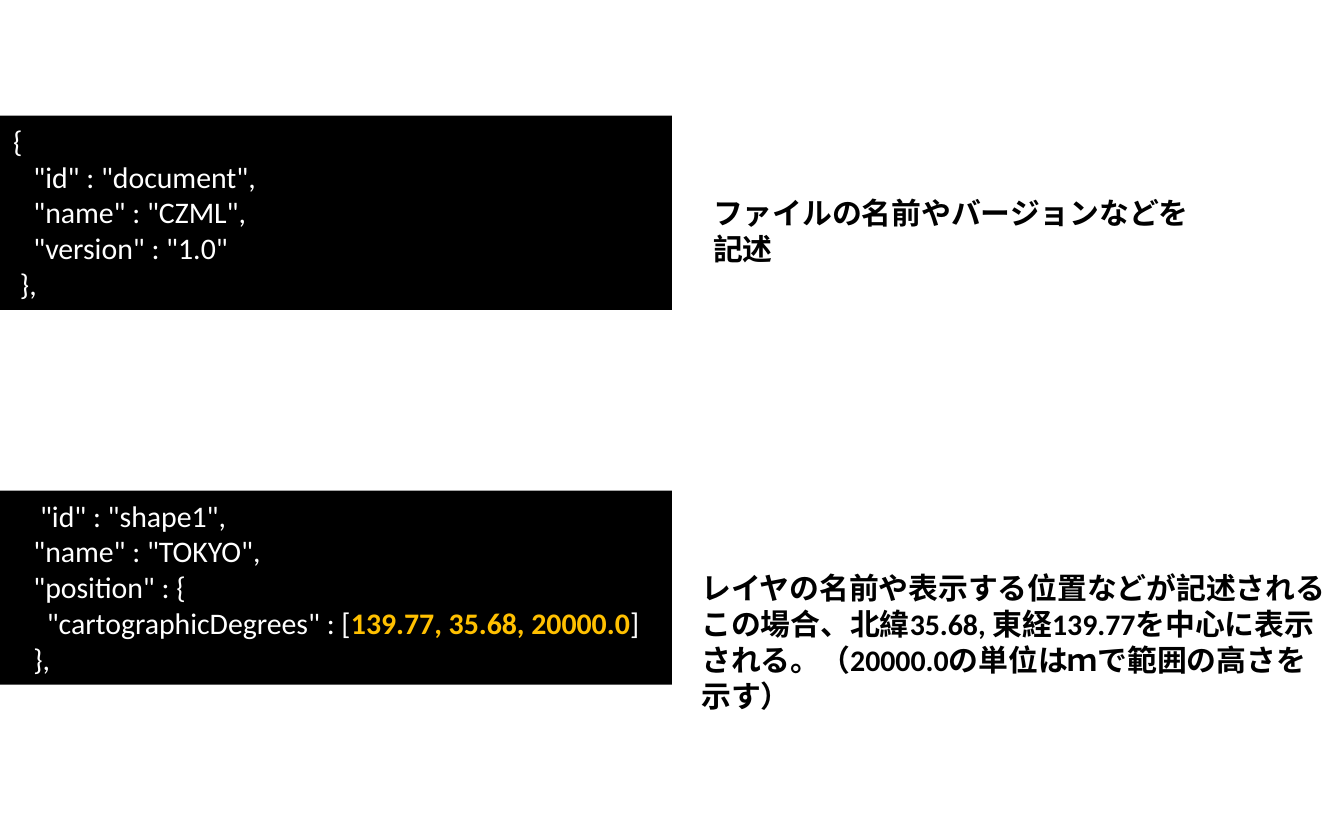
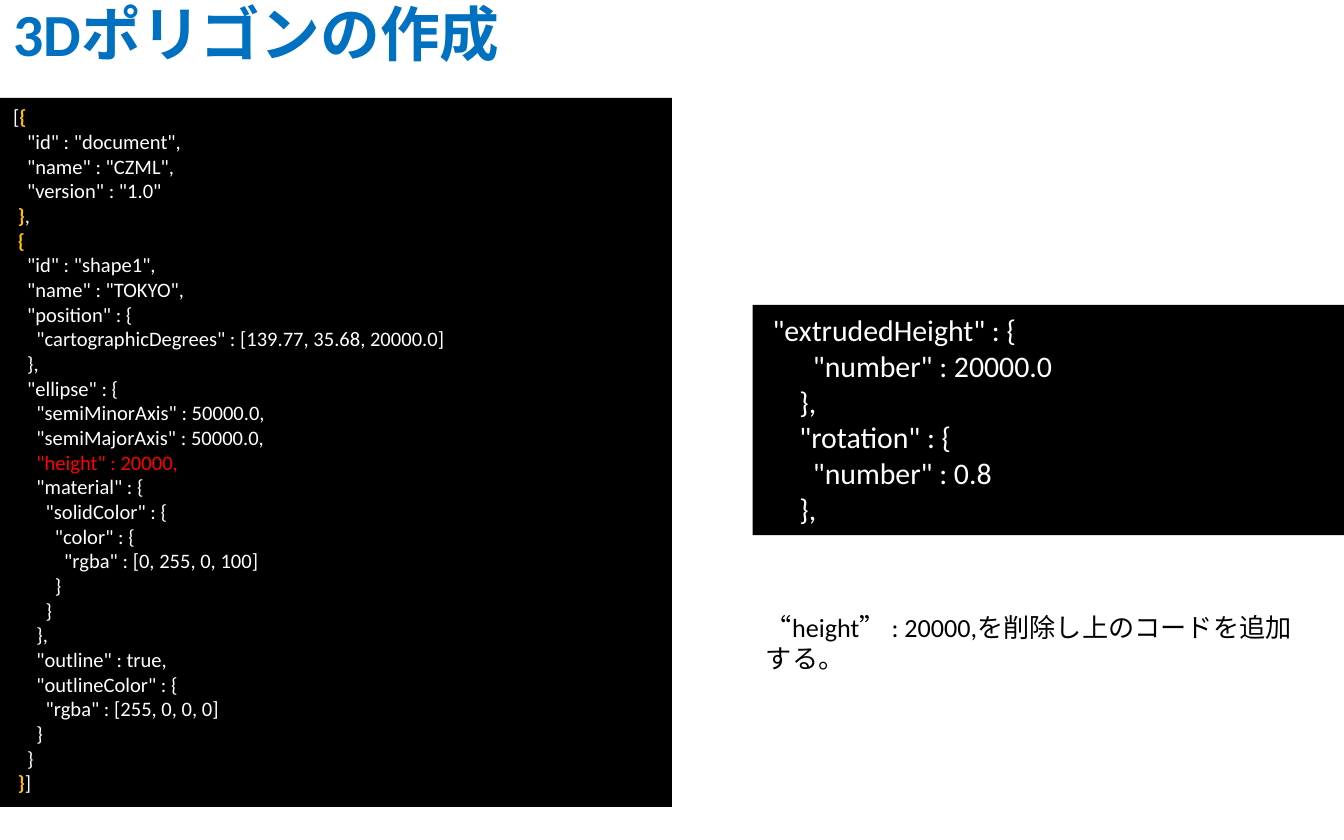
"""Builds two slides that explain CZML code and how to make a 3D polygon."""
import dataclasses

import pptx
import pptx.dml.color
import pptx.enum.shapes
import pptx.enum.text
import pptx.util

Pt = pptx.util.Pt


def rgb(value):
    """Return a colour from its hexadecimal notation."""
    return pptx.dml.color.RGBColor.from_string(value)


@dataclasses.dataclass(frozen=True)
class Theme:
    """Colours, font and type sizes shared by the slides."""
    font: str = "Calibri"
    title_color: str = "0070C0"
    panel: str = "000000"
    code: str = "FFFFFF"
    accent: str = "FFC000"
    removed: str = "FF0000"
    note: str = "000000"
    title_size: float = 32
    body_size: float = 16
    small_note_size: float = 14
    listing_size: float = 11
    line_factor: float = 1.21
    padding: float = 3.6


THEME = Theme()
HALF_WIDTH = 360
RIGHT_PANEL_LEFT = 403.2


def accent(text):
    """Return a highlighted piece of code."""
    return text, {"color": THEME.accent, "bold": True}


def removed(text):
    """Return a piece of code that is to be deleted."""
    return text, {"color": THEME.removed}


DOCUMENT_FIELDS = [
    '   "id" : "document",',
    '   "name" : "CZML",',
    '   "version" : "1.0"',
]
DOCUMENT_CODE = ["{", *DOCUMENT_FIELDS, " },"]
LAYER_CODE = [
    '    "id" : "shape1",',
    '   "name" : "TOKYO",',
    '   "position" : {',
    ['     "cartographicDegrees" : [', accent("139.77, 35.68, 20000.0"), "]"],
    "   },",
]
POLYGON_CODE = [
    ["[", accent("{")],
    *DOCUMENT_FIELDS,
    [" ", accent("}"), ","],
    [" ", accent("{")],
    '   "id" : "shape1",',
    '   "name" : "TOKYO",',
    '   "position" : {',
    '     "cartographicDegrees" : [139.77, 35.68, 20000.0]',
    "   },",
    '   "ellipse" : {',
    '     "semiMinorAxis" : 50000.0,',
    '     "semiMajorAxis" : 50000.0,',
    [removed('     "height" : 20000,')],
    '     "material" : {',
    '       "solidColor" : {',
    '         "color" : {',
    '           "rgba" : [0, 255, 0, 100]',
    "         }",
    "       }",
    "     },",
    '     "outline" : true,',
    '     "outlineColor" : {',
    '       "rgba" : [255, 0, 0, 0]',
    "     }",
    "   }",
    [" ", accent("}"), "]"],
]
EXTRUSION_CODE = [
    ' "extrudedHeight" : {',
    '       "number" : 20000.0',
    "     },",
    '     "rotation" : {',
    '       "number" : 0.8',
    "     },",
]


def add_span(para, text, *, size, color, bold=False):
    """Add formatted text to a paragraph."""
    span = para.add_run()
    span.text = text
    span.font.name = THEME.font
    span.font.size = Pt(size)
    span.font.bold = bold
    span.font.color.rgb = rgb(color)


def fill_lines(frame, lines, **style):
    """Write one paragraph per line, each a string or a list of pieces."""
    for index, line in enumerate(lines):
        para = frame.add_paragraph() if index else frame.paragraphs[0]
        para.alignment = pptx.enum.text.PP_ALIGN.LEFT
        for piece in [line] if isinstance(line, str) else line:
            text, change = (piece, {}) if isinstance(piece, str) else piece
            add_span(para, text, **{**style, **change})


def add_title(page, text):
    """Place and format the slide title."""
    title = page.shapes.title
    title.left, title.top, title.width, title.height = Pt(0), Pt(0), Pt(620.6), Pt(39.6)
    frame = title.text_frame
    frame.auto_size = pptx.enum.text.MSO_AUTO_SIZE.NONE
    frame.vertical_anchor = pptx.enum.text.MSO_ANCHOR.MIDDLE
    fill_lines(frame, [text], size=THEME.title_size, color=THEME.title_color, bold=True)
    frame.paragraphs[0].line_spacing = 0.9


def add_code_panel(page, lines, left, top, width, size=THEME.body_size):
    """Add a black panel as tall as its lines of code."""
    height = len(lines) * size * THEME.line_factor + 2 * THEME.padding
    box = page.shapes.add_shape(
        pptx.enum.shapes.MSO_SHAPE.RECTANGLE, Pt(left), Pt(top), Pt(width), Pt(height))
    box.shadow.inherit = False
    box.fill.solid()
    box.fill.fore_color.rgb = rgb(THEME.panel)
    box.line.fill.background()
    frame = box.text_frame
    frame.word_wrap = True
    frame.vertical_anchor = pptx.enum.text.MSO_ANCHOR.TOP
    fill_lines(frame, lines, size=size, color=THEME.code)


def add_note(page, lines, left, top, width, height, size=THEME.body_size, bold=True):
    """Add an explanation next to the code."""
    box = page.shapes.add_textbox(Pt(left), Pt(top), Pt(width), Pt(height))
    box.text_frame.word_wrap = True
    fill_lines(box.text_frame, lines, size=size, color=THEME.note, bold=bold)


def build_structure_page(deck):
    """Explain the document and layer parts of a CZML file."""
    page = deck.slides.add_slide(deck.slide_layouts.get_by_name("Blank"))
    add_code_panel(page, DOCUMENT_CODE, 0, 62, HALF_WIDTH)
    add_code_panel(page, LAYER_CODE, 0, 262.8, HALF_WIDTH)
    add_note(page, ["ファイルの名前やバージョンなどを記述"], 375, 100.8, 280.8, 26.6)
    add_note(page, [
        "レイヤの名前や表示する位置などが記述される",
        "この場合、北緯35.68, 東経139.77を中心に表示される。（20000.0の単位はｍで範囲の高さを示す）",
    ], 368.6, 301.7, 351.4, 85)


def build_polygon_page(deck):
    """Show the code changes that make a 3D polygon."""
    page = deck.slides.add_slide(deck.slide_layouts.get_by_name("Title Only"))
    add_title(page, "3Dポリゴンの作成")
    add_code_panel(page, EXTRUSION_CODE, RIGHT_PANEL_LEFT, 163.4, 720 - RIGHT_PANEL_LEFT)
    add_code_panel(page, POLYGON_CODE, 0, 52.4, HALF_WIDTH, THEME.listing_size)
    add_note(page, ["“height” : 20000,を削除し上のコードを追加する。"],
             RIGHT_PANEL_LEFT, 324, 303.1, 24.5, THEME.small_note_size, bold=False)


def main():
    """Build and save the deck."""
    deck = pptx.Presentation()
    deck.slide_width, deck.slide_height = Pt(720), Pt(450)
    build_structure_page(deck)
    build_polygon_page(deck)
    deck.save("out.pptx")


if __name__ == "__main__":
    main()
